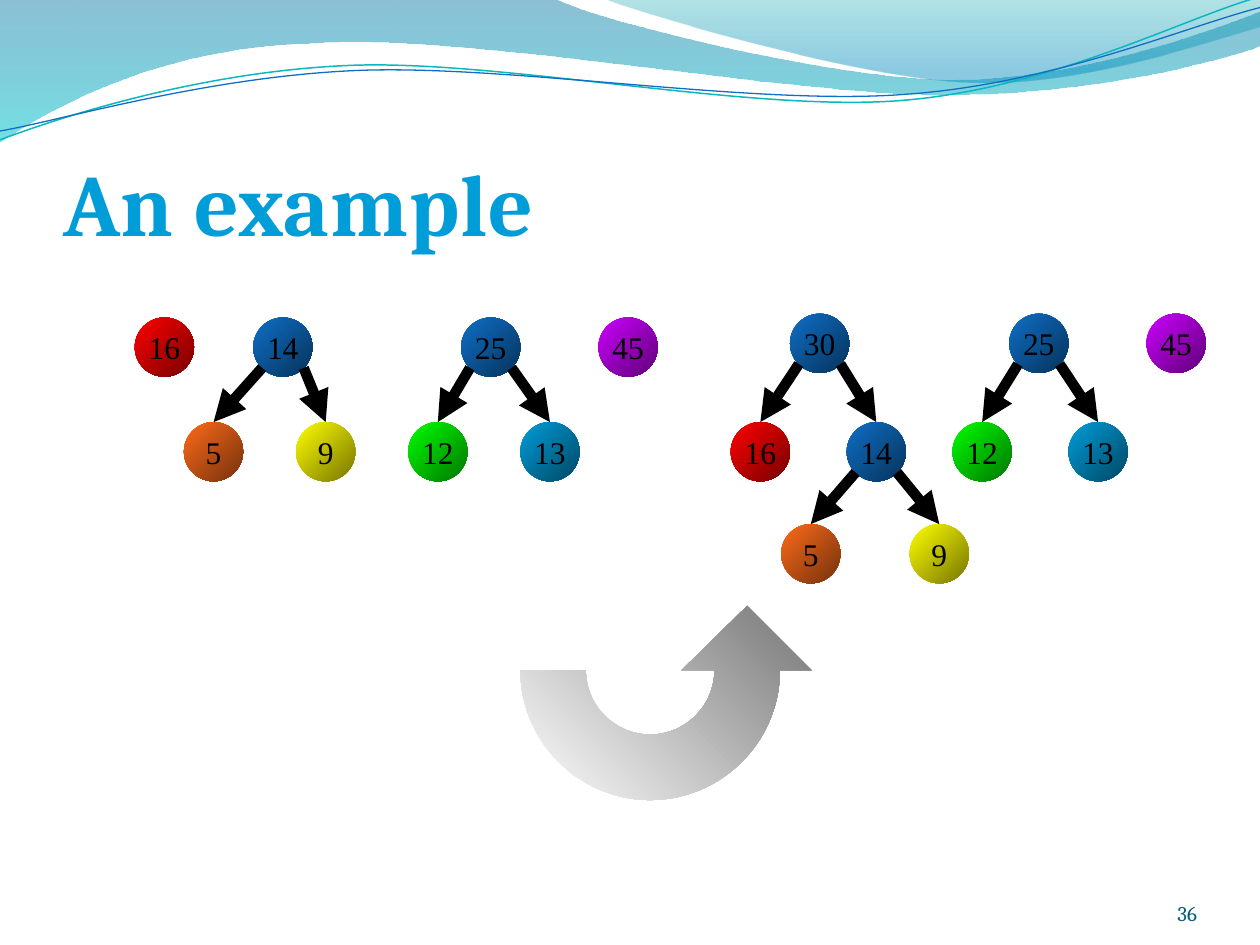
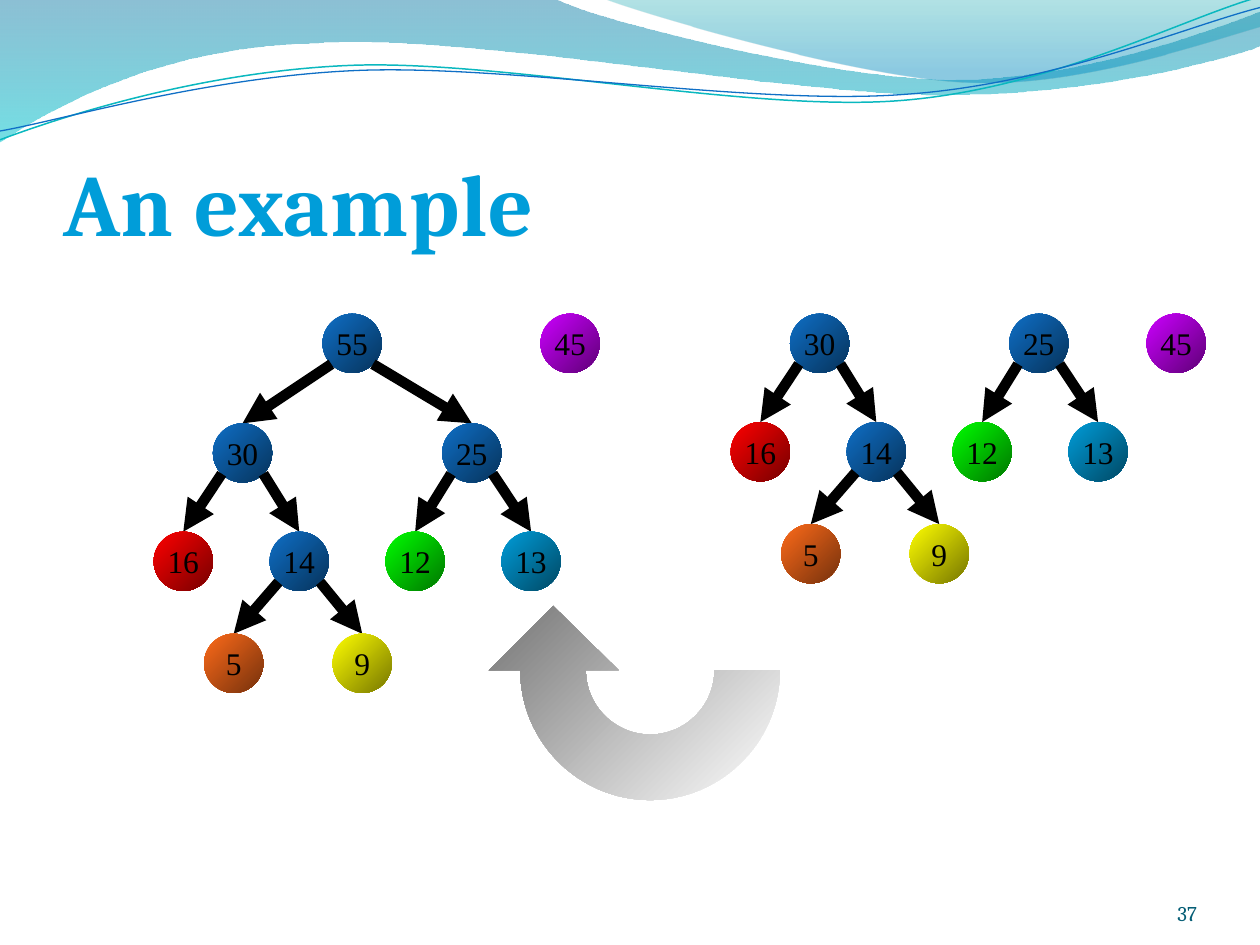
import pptx
import pptx.dml.color
import pptx.enum.shapes
import pptx.enum.text
import pptx.oxml
import pptx.oxml.ns
import pptx.util

ALIGN = pptx.enum.text.PP_ALIGN
ANCHOR = pptx.enum.text.MSO_ANCHOR
KIND = pptx.enum.shapes

COLS = 10
SERIF, PLAIN = "Cambria", "Times New Roman"
BLUE, CYAN, BLACK, DARK = "0F6FC6", "009DD9", "000000", "045D75"
SHADE = [("gamma", None), ("shade", 46.28), ("invGamma", None)]
HUES = {"16": "FF0000", "5": "FE6B1A", "9": "FFFF00",
        "12": "00FF00", "13": CYAN, "45": "CC00FF"}

# Bands and waves: a start point, then line ends (2 numbers) or cubic curves (6)
BANDS = [
    ([(0, 0), (4.4, -0.01), (4.76, 0.17, 6.64, 0.63, 7.58, 0.63),
      (8.53, 0.63, 9.58, 0.26, 10, 0.09), (10.01, 0.36),
      (9.83, 0.44, 8.7, 0.76, 7.46, 0.75), (6.22, 0.75, 3.82, 0.28, 2.57, 0.34),
      (1.29, 0.36, 0.46, 0.83, -0.01, 1.13)],
     [(0, "0074A1", ("alpha", 45)), (100, "00C6CF", ("alpha", 55))]),
    ([(4.79, -0.01), (5.09, 0.11, 6.82, 0.62, 7.69, 0.65),
      (8.56, 0.69, 9.61, 0.32, 10, 0.21), (10, 0)],
     [(0, "00A1A9", ("alpha", 30)), (80, "008BBF", ("alpha", 45))]),
]
WAVES = [
    ([(0, 1.11), (0.48, 0.93, 1.58, 0.57, 2.77, 0.52),
      (3.95, 0.47, 5.93, 0.89, 7.13, 0.8), (8.33, 0.71, 9.38, 0.15, 9.98, -0.02)],
     "0AB8BF", 0.85),
    ([(0, 1.04), (0.47, 0.96, 1.64, 0.61, 2.83, 0.56),
      (4.03, 0.51, 5.97, 0.84, 7.17, 0.75), (8.36, 0.67, 9.41, 0.21, 10, 0.06)],
     BLUE, 0.75),
]

# A tree is a label and its children, each with its offset from the parent
TREE14 = ("14", [(-0.52, 0.81, ("5", [])), (0.5, 0.81, ("9", []))])
TREE30 = ("30", [(-0.47, 0.86, ("16", [])), (0.45, 0.86, TREE14)])
TREE25 = ("25", [(-0.45, 0.86, ("12", [])), (0.47, 0.86, ("13", []))])
TREE55 = ("55", [(-0.87, 0.87, TREE30), (0.95, 0.87, TREE25)])
LOW14 = ("14", [(-0.55, 0.83, ("5", [])), (0.34, 0.83, ("9", []))])
LOW25 = ("25", [(-0.42, 0.83, ("12", [])), (0.47, 0.83, ("13", []))])
LEAF16, LEAF45 = ("16", []), ("45", [])

RIGHT = [(6.27, 2.49, TREE30), (8.01, 2.49, TREE25), (9.1, 2.49, LEAF45)]
FIRST = [(1.07, 2.52, LEAF16), (2.01, 2.52, LOW14),
         (3.66, 2.52, LOW25), (4.75, 2.52, LEAF45)]
SECOND = [(2.56, 2.49, TREE55), (4.29, 2.49, LEAF45)]


def color(code):
    return pptx.dml.color.RGBColor.from_string(code)


def make(owner, name, **marks):
    return owner.makeelement(pptx.oxml.ns.qn("a:" + name), marks)


def blend(fill, owner, stops, angle):
    """Fill with a two-stop gradient; a stop may list colour changes in percent."""
    fill.gradient()
    fill.gradient_angle = angle
    for stop, (place, code, *_) in zip(fill.gradient_stops, stops):
        stop.position = place / 100
        stop.color.rgb = color(code)
    hues = list(owner.iter(pptx.oxml.ns.qn("a:srgbClr")))
    for hue, (_, _, *changes) in zip(hues, stops):
        for name, share in changes:
            marks = {} if share is None else {"val": str(round(share * 1000))}
            hue.append(make(hue, name, **marks))


def write(frame, text, size=18, font=PLAIN, ink=BLACK, bold=False,
          align=ALIGN.CENTER, anchor=ANCHOR.MIDDLE, wrap=True, inset=None):
    frame.word_wrap = wrap
    frame.vertical_anchor = anchor
    if inset is not None:
        frame.margin_left = frame.margin_right = frame.margin_bottom = 0
        frame.margin_top = pptx.util.Inches(inset)
    para = frame.paragraphs[0]
    para.alignment = align
    run = para.add_run()
    run.text = text
    run.font.size = pptx.util.Pt(size)
    run.font.name = font
    run.font.bold = bold
    run.font.color.rgb = color(ink)
    return run


class Deck:
    ball = 0.47
    edge = 0.07

    def __init__(self):
        self.prs = pptx.Presentation()
        self.prs.slide_width = pptx.util.Inches(10)
        self.prs.slide_height = pptx.util.Inches(7.5)
        self.cell = self.prs.slide_width / COLS
        self.slide = None
        self.dressed = False

    def grid(self, *counts):
        return [pptx.util.Emu(round(count * self.cell)) for count in counts]

    def page(self, title, number):
        layout = self.prs.slide_layouts[5]
        self.slide = self.prs.slides.add_slide(layout)
        if not self.dressed:
            self.dress()
        self.title(title)
        self.number(number)

    def dress(self):
        """Draw the bands and waves once and hand them to the master."""
        shapes = []
        for path, stops in BANDS:
            band = self.outline(path)
            band.line.fill.background()
            blend(band.fill, band.element.spPr, stops, 270)
            shapes.append(band)
        for path, code, width in WAVES:
            wave = self.outline(path, close=False)
            wave.fill.background()
            wave.line.color.rgb = color(code)
            wave.line.width = pptx.util.Pt(width)
            shapes.append(wave)
        for shape in shapes:
            self.prs.slide_master.shapes.element.append(shape.element)
        self.dressed = True

    def title(self, text):
        head = self.slide.shapes.title
        head.left, head.top, head.width, head.height = self.grid(0.5, 0.77, 9, 1.25)
        run = write(head.text_frame, text, size=50, font=SERIF, ink=CYAN, bold=True,
                    align=ALIGN.LEFT, anchor=ANCHOR.BOTTOM, inset=0.05)
        props = run.font._element
        props.set("spc", "50")
        blend(run.font.fill, props, [(25, CYAN), (100, "006F99")], 270)

    def number(self, value):
        box = self.slide.shapes.add_textbox(*self.grid(8.67, 6.95, 0.83, 0.4))
        write(box.text_frame, str(value), size=12, font=SERIF, ink=DARK,
              align=ALIGN.RIGHT, anchor=ANCHOR.BOTTOM, inset=0)

    def outline(self, parts, close=True):
        """Draw lines through all points, then join each curve's three into one."""
        start, *rest = parts
        spots = [self.grid(*part[at:at + 2])
                 for part in rest for at in range(0, len(part), 2)]
        pen = self.slide.shapes.build_freeform(*self.grid(*start), scale=1.0)
        pen.add_line_segments(spots, close=close)
        shape = pen.convert_to_shape()
        shape.shadow.inherit = False
        lines = iter(list(shape.element.iter(pptx.oxml.ns.qn("a:lnTo"))))
        for part in rest:
            group = [next(lines) for _ in range(len(part) // 2)]
            if len(group) == 3:
                curve = make(group[0], "cubicBezTo")
                group[0].addprevious(curve)
                for line in group:
                    curve.append(line[0])
                    line.getparent().remove(line)
        return shape

    def node(self, label, left, top):
        ball = self.slide.shapes.add_shape(
            KIND.MSO_SHAPE.OVAL, *self.grid(left, top, self.ball, self.ball))
        ball.shadow.inherit = False
        ball.line.fill.background()
        hue = HUES.get(label, BLUE)
        blend(ball.fill, ball.element.spPr, [(0, hue), (100, hue, *SHADE)], 315)
        write(ball.text_frame, label, wrap=False)

    def arrow(self, *ends):
        link = self.slide.shapes.add_connector(
            KIND.MSO_CONNECTOR.STRAIGHT, *self.grid(*ends))
        link.line.color.rgb = color(BLACK)
        link.line.width = pptx.util.Pt(6)
        props = link.element.spPr
        props.ln.append(make(props, "tailEnd", type="triangle"))
        props.append(make(props, "effectLst"))

    def tree(self, left, top, plan):
        """Draw a node, then an arrow and a subtree for each child."""
        label, kids = plan
        self.node(label, left, top)
        far = self.ball - self.edge
        for across, down, kid in kids:
            start = self.edge if across < 0 else far
            self.arrow(left + start, top + far,
                       left + across + self.ball / 2, top + down)
            self.tree(left + across, top + down, kid)

    def turn(self, side):
        """Draw the U-shaped arrow; side is 1 to end on the right, -1 on the left."""
        mid, base, slim, wide = 5.16, 5.32, 0.51, 1.03
        pull, reach = 0.55 * slim, 0.55 * wide
        rim = [(slim, 0), (slim, pull, pull, slim, 0, slim),
               (-pull, slim, -slim, pull, -slim, 0), (-wide, 0),
               (-wide, reach, -reach, wide, 0, wide),
               (reach, wide, wide, reach, wide, 0),
               (1.28, 0), (0.77, -slim), (0.25, 0)]
        shape = self.outline([
            [base + n if at % 2 else mid + side * n for at, n in enumerate(part)]
            for part in rim])
        shape.line.fill.background()
        blend(shape.fill, shape.element.spPr,
              [(0, "FFFFFF"), (100, "FFFFFF", *SHADE)], 90 - 45 * side)


def main():
    deck = Deck()
    for number, left, side in [(36, FIRST, 1), (37, SECOND, -1)]:
        deck.page("An example", number)
        for spot in RIGHT + left:
            deck.tree(*spot)
        deck.turn(side)
    deck.prs.save("out.pptx")


if __name__ == "__main__":
    main()
